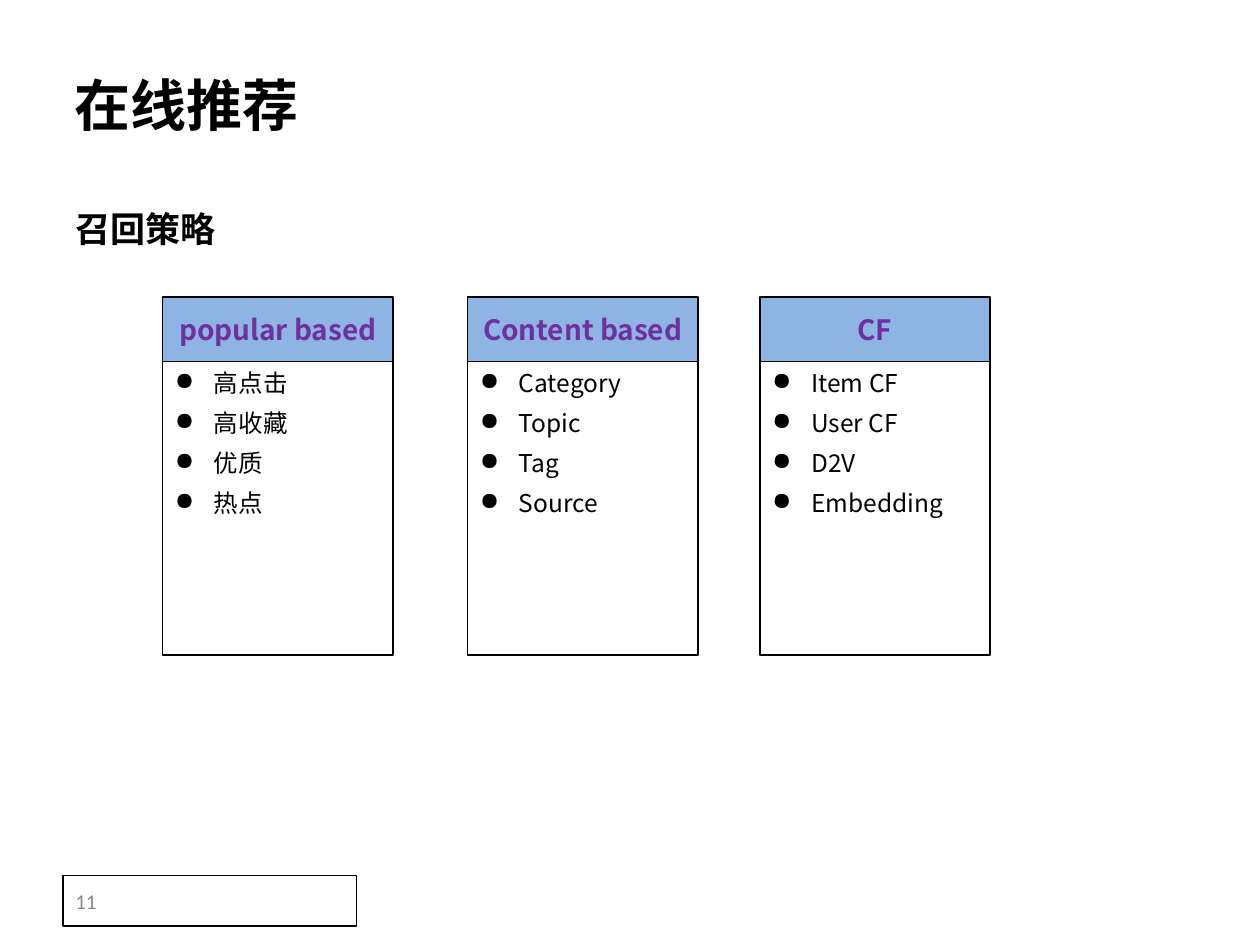
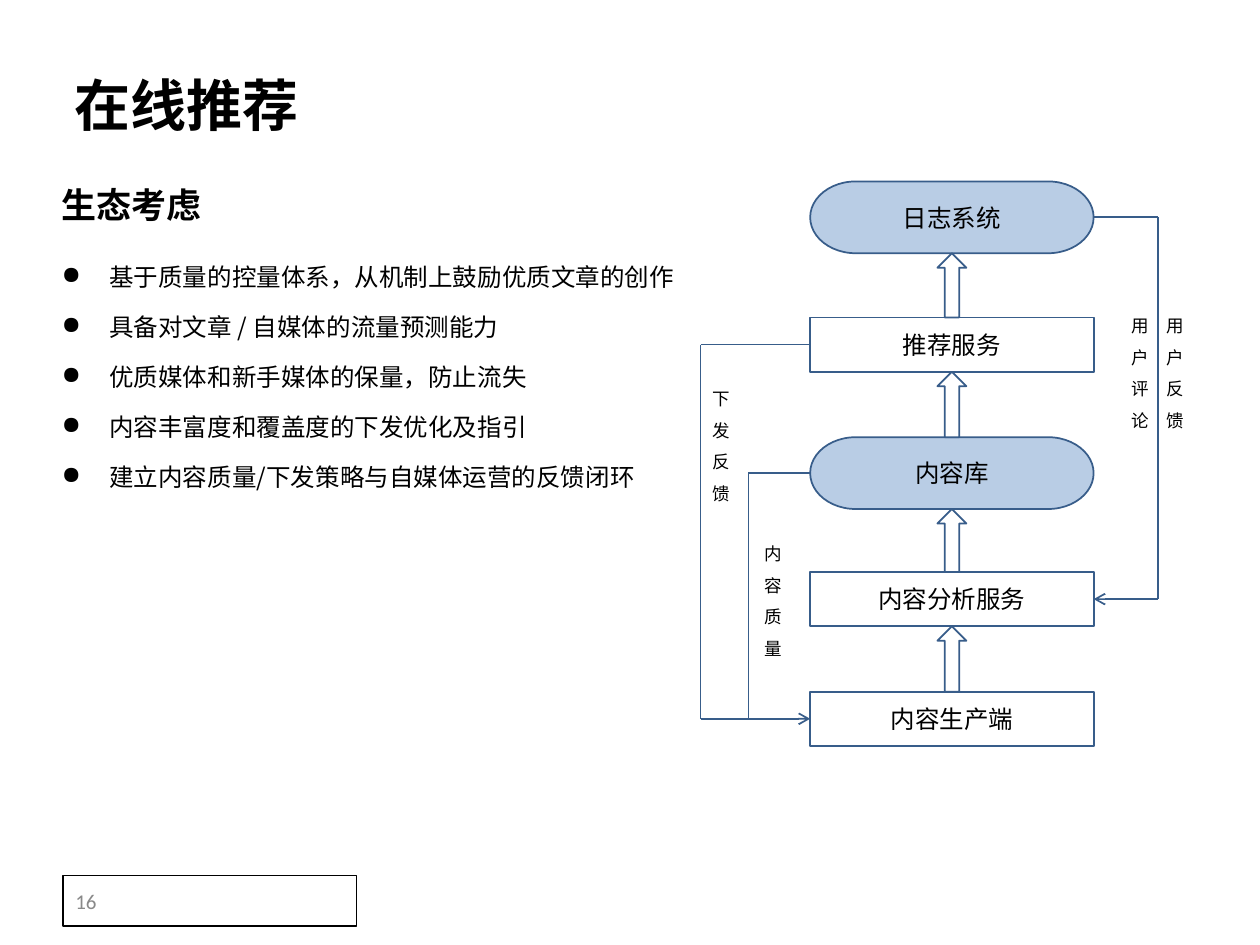
from dataclasses import dataclass
from itertools import pairwise
from typing import NamedTuple

from lxml.etree import SubElement
from pptx import Presentation
from pptx.dml.color import RGBColor
from pptx.enum.shapes import MSO_CONNECTOR, MSO_SHAPE
from pptx.enum.text import MSO_ANCHOR, MSO_AUTO_SIZE, PP_ALIGN
from pptx.oxml.ns import qn
from pptx.util import Inches, Pt


class Box(NamedTuple):
    left: float
    top: float
    width: float
    height: float

    def lengths(self):
        return [Inches(value) for value in self]


class TextStyle(NamedTuple):
    size: float
    color: str
    bold: bool = False
    font: str = "Noto Sans CJK SC"


@dataclass(frozen=True)
class Theme:
    black: str = "000000"
    white: str = "FFFFFF"
    card_header: str = "8EB4E3"
    store: str = "B9CDE5"
    flow_line: str = "385D8A"
    east_asian_font: str = "Noto Sans CJK SC"
    title: TextStyle = TextStyle(32, "000000", True)
    section: TextStyle = TextStyle(20, "000000", True)
    card_title: TextStyle = TextStyle(16, "7030A0", True)
    body: TextStyle = TextStyle(14, "000000")
    node: TextStyle = TextStyle(14, "000000", font="Calibri")
    label: TextStyle = TextStyle(10, "000000")
    page_number: TextStyle = TextStyle(12, "898989", font="Calibri")


THEME = Theme()
LEFT, RIGHT = 1, 3


def write(shape, lines, style, align=PP_ALIGN.LEFT, anchor=MSO_ANCHOR.TOP,
          line_spacing=None):
    frame = shape.text_frame
    frame.text = "\n".join(lines)
    frame.word_wrap = True
    frame.vertical_anchor = anchor
    for paragraph in frame.paragraphs:
        paragraph.alignment = align
        if line_spacing:
            paragraph.line_spacing = line_spacing
        for run in paragraph.runs:
            run.font.size = Pt(style.size)
            run.font.bold = style.bold
            run.font.name = style.font
            run.font.color.rgb = RGBColor.from_string(style.color)
            properties = run._r.get_or_add_rPr()
            SubElement(properties, qn("a:ea"), typeface=THEME.east_asian_font)
    return frame


def add_bullets(frame, indent, before=0, after=0):
    for index, paragraph in enumerate(frame.paragraphs):
        if index and before:
            paragraph.space_before = Pt(before)
        paragraph.space_after = Pt(after)
        properties = paragraph._p.get_or_add_pPr()
        properties.set("marL", str(Inches(indent)))
        properties.set("indent", str(-Inches(indent)))
        color = SubElement(properties, qn("a:buClr"))
        SubElement(color, qn("a:srgbClr"), val=THEME.black)
        SubElement(properties, qn("a:buChar"), char="●")


def add_text(slide, box, lines, style, line_spacing=None):
    text_box = slide.shapes.add_textbox(*box.lengths())
    return write(text_box, lines, style, line_spacing=line_spacing)


def add_box(slide, kind, box, fill, line, line_width=1):
    shape = slide.shapes.add_shape(kind, *box.lengths())
    shape.shadow.inherit = False
    shape.fill.solid()
    shape.fill.fore_color.rgb = RGBColor.from_string(fill)
    shape.line.color.rgb = RGBColor.from_string(line)
    shape.line.width = Pt(line_width)
    return shape


def add_line(slide, start, end, arrow=False):
    connector = slide.shapes.add_connector(
        MSO_CONNECTOR.STRAIGHT, *start, *end)
    connector.line.color.rgb = RGBColor.from_string(THEME.flow_line)
    connector.line.width = Pt(1)
    if arrow:
        SubElement(connector.line._get_or_add_ln(), qn("a:tailEnd"), type="arrow")
    SubElement(connector._element.spPr, qn("a:effectLst"))
    return connector


def start_slide(presentation, title, section, section_box, number):
    slide = presentation.slides.add_slide(presentation.slide_layouts[6])
    frame = add_text(slide, Box(0.49, 0.51, 1.98, 0.64), [title], THEME.title)
    frame.word_wrap = False
    frame.auto_size = MSO_AUTO_SIZE.SHAPE_TO_FIT_TEXT
    footer = add_box(slide, MSO_SHAPE.RECTANGLE, Box(0.5, 6.95, 2.33, 0.4),
                     THEME.white, THEME.black, 0.75)
    write(footer, [str(number)], THEME.page_number, anchor=MSO_ANCHOR.MIDDLE)
    add_text(slide, section_box, [section], THEME.section, 1.5)
    return slide


def add_card(slide, box, title, items):
    header_height = 0.51
    body_box = Box(box.left, box.top + header_height,
                   box.width, box.height - header_height)
    body = add_box(slide, MSO_SHAPE.RECTANGLE, body_box, THEME.white, THEME.black)
    add_bullets(write(body, items, THEME.body), 0.31, after=6)
    header = add_box(slide, MSO_SHAPE.RECTANGLE,
                     box._replace(height=header_height),
                     THEME.card_header, THEME.black)
    write(header, [title], THEME.card_title, PP_ALIGN.CENTER, MSO_ANCHOR.MIDDLE)


def add_node(slide, box, name, is_store):
    kind = (MSO_SHAPE.FLOWCHART_TERMINATOR if is_store
            else MSO_SHAPE.FLOWCHART_PROCESS)
    fill = THEME.store if is_store else THEME.white
    node = add_box(slide, kind, box, fill, THEME.flow_line)
    write(node, [name], THEME.node, PP_ALIGN.CENTER, MSO_ANCHOR.MIDDLE)
    return node


def side_middle(node, side):
    x = node.left if side == LEFT else node.left + node.width
    return x, node.top + node.height // 2


def add_feedback(slide, source, target, side, rail, reaches_target=True):
    source_end = side_middle(source, side)
    target_end = side_middle(target, side)
    source_corner = rail, source_end[1]
    target_corner = rail, target_end[1]
    add_line(slide, source_end, source_corner).begin_connect(source, side)
    add_line(slide, source_corner, target_corner)
    if reaches_target:
        arrow = add_line(slide, target_corner, target_end, True)
        arrow.end_connect(target, side)


def add_flow(slide, box):
    stages = [
        ("日志系统", 0, True),
        ("推荐服务", 1.08, False),
        ("内容库", 2.03, True),
        ("内容分析服务", 3.1, False),
        ("内容生产端", 4.05, False),
    ]
    node_left, node_width = box.left + 0.87, 2.25
    node_boxes = [
        Box(node_left, box.top + offset, node_width, 0.57 if is_store else 0.43)
        for _, offset, is_store in stages
    ]
    log, recommender, library, analysis, producer = [
        add_node(slide, node_box, name, is_store)
        for node_box, (name, _, is_store) in zip(node_boxes, stages)
    ]

    arrow_width = 0.23
    arrow_left = node_left + (node_width - arrow_width) / 2
    for upper, lower in pairwise(node_boxes):
        bottom = upper.top + upper.height
        arrow_box = Box(arrow_left, bottom, arrow_width, lower.top - bottom)
        add_box(slide, MSO_SHAPE.UP_ARROW, arrow_box, THEME.white, THEME.flow_line)

    add_feedback(slide, recommender, producer, LEFT, Inches(box.left))
    add_feedback(slide, library, producer, LEFT, Inches(box.left + 0.38), False)
    add_feedback(slide, log, analysis, RIGHT, Inches(box.left + box.width))

    labels = [
        ("下发反馈", 0, 1.51, 0.37),
        ("内容质量", 0.41, 2.74, 0.37),
        ("用户评论", 3.32, 0.93, 0.45),
        ("用户反馈", 3.6, 0.93, 0.28),
    ]
    for text, left, top, width in labels:
        label_box = Box(box.left + left, box.top + top, width, 1.1)
        add_text(slide, label_box, [text], THEME.label, 1.5)


def build_recall_slide(presentation):
    slide = start_slide(presentation, "在线推荐", "召回策略",
                        Box(0.5, 1.43, 2.68, 0.6), 11)
    cards = [
        (1.29, "popular based", ["高点击", "高收藏", "优质", "热点"]),
        (3.71, "Content based", ["Category", "Topic", "Tag", "Source"]),
        (6.03, "CF", ["Item CF", "User CF", "D2V", "Embedding"]),
    ]
    for left, title, items in cards:
        add_card(slide, Box(left, 2.36, 1.83, 2.84), title, items)


def build_ecosystem_slide(presentation):
    slide = start_slide(presentation, "在线推荐", "生态考虑",
                        Box(0.39, 1.24, 2.68, 0.6), 16)
    considerations = [
        "基于质量的控量体系，从机制上鼓励优质文章的创作",
        "具备对文章 / 自媒体的流量预测能力",
        "优质媒体和新手媒体的保量，防止流失",
        "内容丰富度和覆盖度的下发优化及指引",
        "建立内容质量/下发策略与自媒体运营的反馈闭环",
    ]
    frame = add_text(slide, Box(0.39, 1.91, 5.14, 2.05), considerations,
                     THEME.body, 1.5)
    add_bullets(frame, 0.38, before=3.5)
    add_flow(slide, Box(5.56, 1.44, 3.63, 4.48))


def main():
    presentation = Presentation()
    presentation.slide_width = Inches(10)
    presentation.slide_height = Inches(7.5)
    build_recall_slide(presentation)
    build_ecosystem_slide(presentation)
    presentation.save("out.pptx")


if __name__ == "__main__":
    main()
